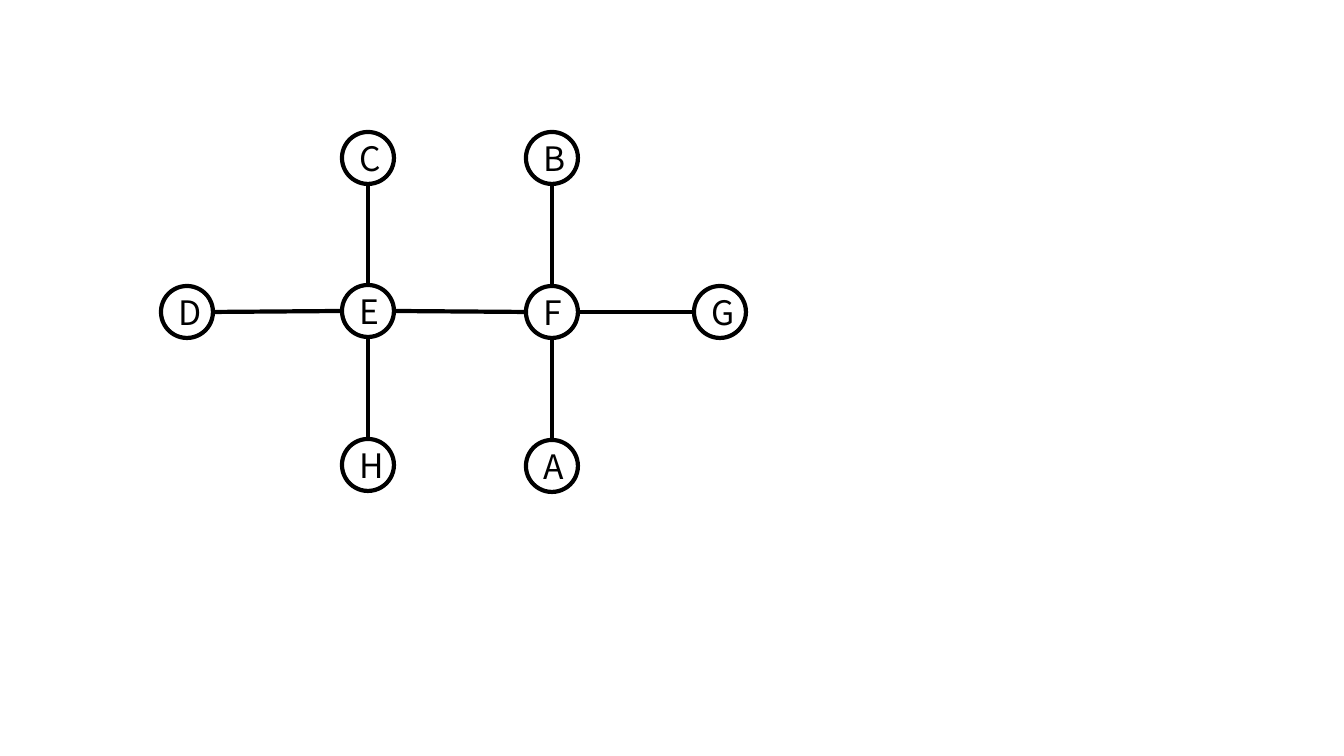
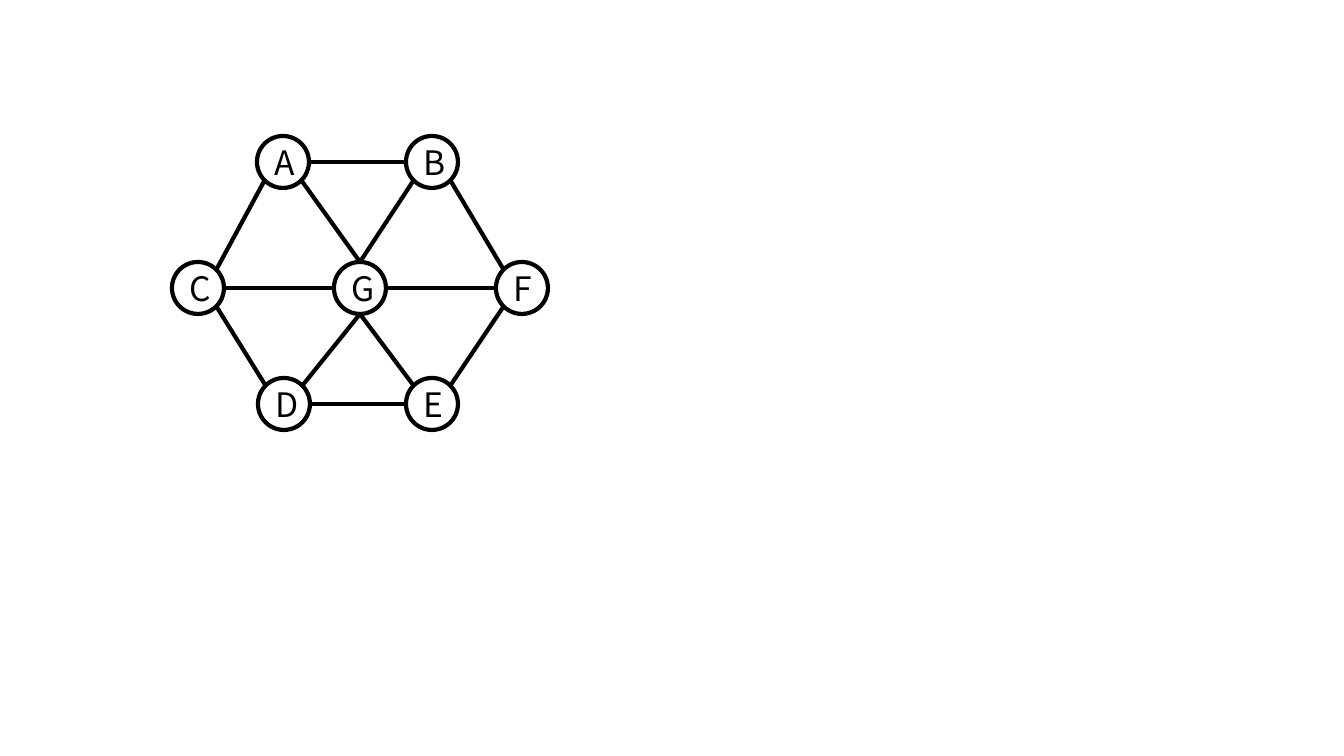
from math import sqrt

from lxml.etree import SubElement
from pptx import Presentation
from pptx.dml.color import RGBColor
from pptx.enum.shapes import MSO_CONNECTOR, MSO_SHAPE
from pptx.enum.text import MSO_ANCHOR, PP_ALIGN
from pptx.oxml.ns import qn
from pptx.util import Emu, Pt

# Shared style
BLACK = RGBColor(0x00, 0x00, 0x00)
LINE_WIDTH = Pt(3)
FONT = {"name": "Noto Sans CJK KR", "size": Pt(24)}
PIXEL = 914400 / 100.8
SLIDE_WIDTH, SLIDE_HEIGHT = 1344, 756
RADIUS = 26

# Points on a node's rim, as directions from its centre
DIAGONAL = 1 / sqrt(2)
RIM = {
    "N": (0, -1), "S": (0, 1), "W": (-1, 0), "E": (1, 0),
    "NW": (-DIAGONAL, -DIAGONAL), "NE": (DIAGONAL, -DIAGONAL),
    "SW": (-DIAGONAL, DIAGONAL), "SE": (DIAGONAL, DIAGONAL),
}

# Each graph: node centres, then edges as (node, rim point, node, rim point)
TREE = (
    {"B": (552, 158), "C": (368, 158), "D": (187, 312), "E": (368, 311),
     "F": (552, 312), "H": (368, 465), "G": (720, 312), "A": (552, 466)},
    [("D", "E", "E", "W"), ("A", "N", "F", "S"), ("F", "N", "B", "S"),
     ("E", "S", "H", "N"), ("C", "S", "E", "N"), ("F", "W", "E", "E"),
     ("G", "W", "F", "E")],
)
WHEEL = (
    {"A": (283, 162), "B": (432, 162), "C": (198, 288), "D": (284, 404),
     "F": (522, 288), "E": (432, 404), "G": (360, 288)},
    [("A", "E", "B", "W"), ("C", "E", "G", "W"), ("E", "NE", "F", "SW"),
     ("C", "NE", "A", "SW"), ("C", "SE", "D", "NW"), ("B", "SE", "F", "NW"),
     ("F", "W", "G", "E"), ("E", "W", "D", "E"), ("G", "N", "B", "SW"),
     ("G", "N", "A", "SE"), ("G", "S", "D", "NE"), ("G", "S", "E", "NW")],
)


def px(length):
    return Emu(round(length * PIXEL))


def style_line(line):
    line.color.rgb = BLACK
    line.width = LINE_WIDTH


def add_node(slide, label, centre):
    x, y = centre
    node = slide.shapes.add_shape(
        MSO_SHAPE.OVAL, px(x - RADIUS), px(y - RADIUS), px(2 * RADIUS), px(2 * RADIUS))
    node.shadow.inherit = False
    node.fill.background()
    style_line(node.line)
    node.text_frame.vertical_anchor = MSO_ANCHOR.MIDDLE
    paragraph = node.text_frame.paragraphs[0]
    paragraph.alignment = PP_ALIGN.CENTER
    run = paragraph.add_run()
    run.text = label
    for name, value in FONT.items():
        setattr(run.font, name, value)
    run.font.color.rgb = BLACK


def rim_point(centre, side):
    return [px(c + RADIUS * d) for c, d in zip(centre, RIM[side])]


def add_edge(slide, start, end):
    edge = slide.shapes.add_connector(MSO_CONNECTOR.STRAIGHT, *start, *end)
    style_line(edge.line)
    SubElement(edge._element.spPr, qn("a:effectLst"))


def add_graph_slide(presentation, nodes, edges):
    slide = presentation.slides.add_slide(presentation.slide_layouts[6])
    for label, centre in nodes.items():
        add_node(slide, label, centre)
    for first, first_side, second, second_side in edges:
        add_edge(slide, rim_point(nodes[first], first_side),
                 rim_point(nodes[second], second_side))


def main():
    presentation = Presentation()
    presentation.slide_width = px(SLIDE_WIDTH)
    presentation.slide_height = px(SLIDE_HEIGHT)
    for nodes, edges in (TREE, WHEEL):
        add_graph_slide(presentation, nodes, edges)
    presentation.save("out.pptx")


main()
